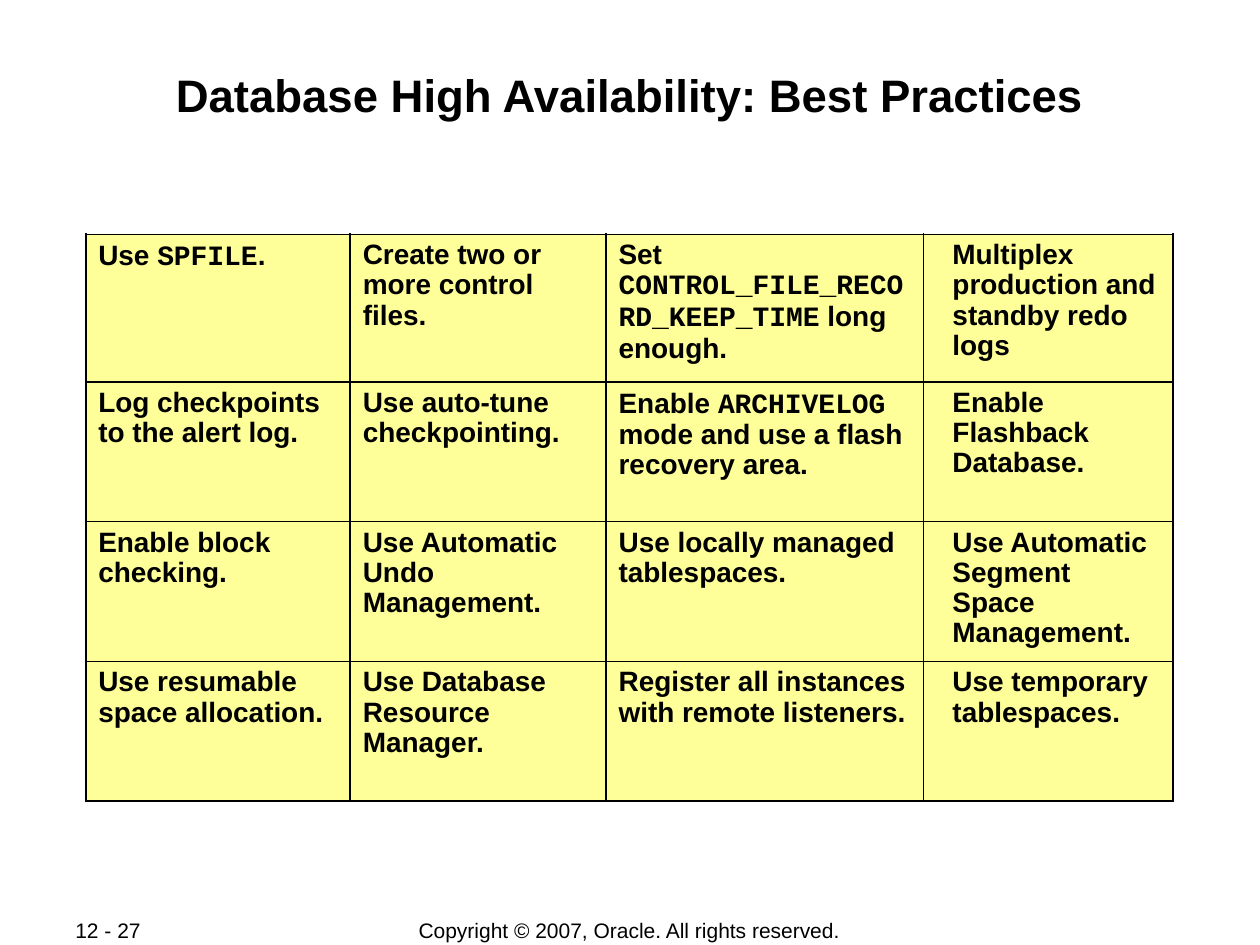
import pptx
import pptx.util
import pptx.dml.color
import pptx.enum.text
import pptx.oxml
import pptx.oxml.ns
from dataclasses import dataclass

Inches, Pt = pptx.util.Inches, pptx.util.Pt
PP_ALIGN, MSO_ANCHOR = pptx.enum.text.PP_ALIGN, pptx.enum.text.MSO_ANCHOR


@dataclass(frozen=True)
class Theme:
    ink: str = "000000"
    cell: str = "FFFF99"
    font: str = "Arial"
    code: str = "Courier New"
    title: float = 26
    body: float = 16
    footer: float = 12
    border: float = 1.08


theme = Theme()


def style(p, size, bold):
    f = p.font
    f.name, f.size, f.bold = theme.font, Pt(size), bold
    f.color.rgb = pptx.dml.color.RGBColor.from_string(theme.ink)


def add_borders(cell):
    tcPr = cell._tc.get_or_add_tcPr()
    for i, side in enumerate(("lnL", "lnR", "lnT", "lnB")):
        tcPr.insert(i, pptx.oxml.parse_xml(
            f'<a:{side} {pptx.oxml.ns.nsdecls("a")} w="{Pt(theme.border)}">'
            f'<a:solidFill><a:srgbClr val="{theme.ink}"/></a:solidFill></a:{side}>'))


prs = pptx.Presentation()
prs.slide_width, prs.slide_height = Inches(10), Inches(7.5)
s = prs.slides.add_slide(prs.slide_layouts[5])

title = s.shapes.title
title.left, title.top, title.width, title.height = map(Inches, (0.67, 0.48, 8.66, 0.96))
tf = title.text_frame
tf.text = "Database High Availability: Best Practices"
tf.vertical_anchor = MSO_ANCHOR.TOP
tf.margin_left = tf.margin_right = tf.margin_bottom = Inches(0.01)
tf.margin_top = Inches(0.05)
tf.paragraphs[0].alignment = PP_ALIGN.CENTER
style(tf.paragraphs[0], theme.title, True)

practices = [
    ["Use `SPFILE`.", "Create two or more control files.",
     "Set `CONTROL_FILE_RECORD_KEEP_TIME` long enough.",
     "Multiplex production and standby redo logs"],
    ["Log checkpoints to the alert log.", "Use auto-tune checkpointing.",
     "Enable `ARCHIVELOG` mode and use a flash recovery area.",
     "Enable Flashback Database."],
    ["Enable block checking.", "Use Automatic Undo Management.",
     "Use locally managed tablespaces.", "Use Automatic Segment Space Management."],
    ["Use resumable space allocation.", "Use Database Resource Manager.",
     "Register all instances with remote listeners.", "Use temporary tablespaces."],
]
col_widths = [2.1, 2.03, 2.52, 1.98]
row_heights = [1.17, 1.11, 1.11, 1.11]
table = s.shapes.add_table(4, 4, Inches(0.68), Inches(1.86),
                           Inches(sum(col_widths)), Inches(sum(row_heights))).table
table.first_row = table.horz_banding = False
for col, width in zip(table.columns, col_widths):
    col.width = Inches(width)
for row, height, texts in zip(table.rows, row_heights, practices):
    row.height = Inches(height)
    for c, (cell, text) in enumerate(zip(row.cells, texts)):
        cell.fill.solid()
        cell.fill.fore_color.rgb = pptx.dml.color.RGBColor.from_string(theme.cell)
        add_borders(cell)
        p = cell.text_frame.paragraphs[0]
        p.line_spacing = 0.97
        if c == 3:
            p._p.get_or_add_pPr().set("marL", str(Inches(0.13)))
        style(p, theme.body, True)
        for i, part in enumerate(text.split("`")):
            r = p.add_run()
            r.text = part
            if i % 2:
                r.font.name = theme.code

footers = [
    ("Copyright © 2007, Oracle. All rights reserved.", 2.75, 4.49, PP_ALIGN.CENTER),
    ("12 - 27", 0.5, 1.06, PP_ALIGN.LEFT),
]
for text, left, width, align in footers:
    tf = s.shapes.add_textbox(Inches(left), Inches(7.28), Inches(width), Inches(0.21)).text_frame
    tf.text = text
    tf.word_wrap = False
    tf.vertical_anchor = MSO_ANCHOR.MIDDLE
    tf.paragraphs[0].alignment = align
    style(tf.paragraphs[0], theme.footer, False)

prs.save("out.pptx")
